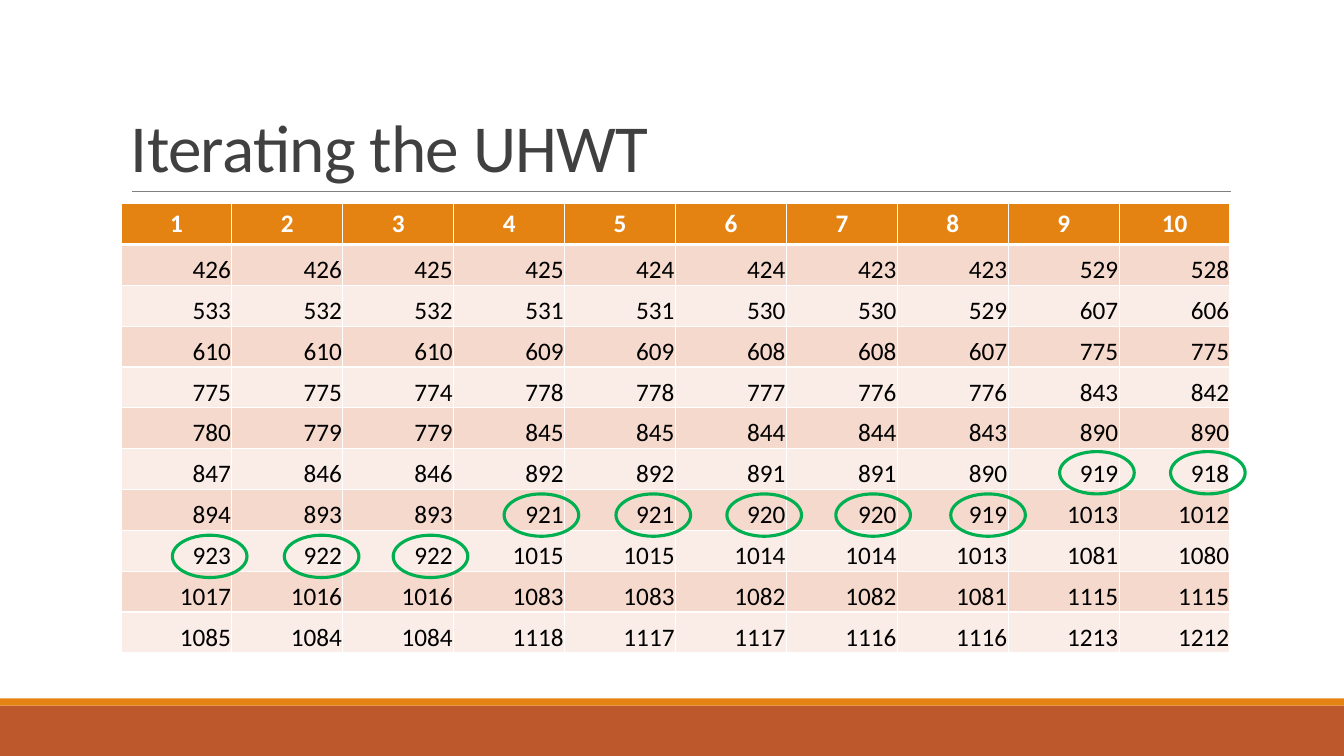
from lxml.etree import SubElement
from pptx import Presentation
from pptx.dml.color import RGBColor
from pptx.enum.shapes import MSO_CONNECTOR, MSO_SHAPE
from pptx.enum.text import MSO_ANCHOR, PP_ALIGN
from pptx.oxml.ns import qn
from pptx.util import Pt

PX = 9144  # EMU per px, 100 px to the inch
WIDTH, HEIGHT = 1333, 750

WHITE = RGBColor(0xFF, 0xFF, 0xFF)
BLACK = RGBColor(0x00, 0x00, 0x00)
DARK_GRAY = RGBColor(0x40, 0x40, 0x40)
RULE_GRAY = RGBColor(0x80, 0x80, 0x80)
ORANGE = RGBColor(0xE4, 0x83, 0x12)
RUST = RGBColor(0xBD, 0x58, 0x2C)
BAND_DARK = RGBColor(0xF5, 0xD9, 0xCC)
BAND_LIGHT = RGBColor(0xFA, 0xED, 0xE7)
GREEN = RGBColor(0x00, 0xB0, 0x50)


def write_text(frame, text, size=18, color=BLACK, bold=False,
               align=PP_ALIGN.LEFT, line_spacing=None, tracking=None):
    paragraph = frame.paragraphs[0]
    paragraph.alignment = align
    if line_spacing:
        paragraph.line_spacing = line_spacing
    run = paragraph.add_run()
    run.text = text
    run.font.name = "Calibri"
    run.font.size = Pt(size)
    run.font.bold = bold
    run.font.color.rgb = color
    if tracking:
        run._r.get_or_add_rPr().set("spc", str(tracking))


def add_border(cell, side, points):
    line = SubElement(cell._tc.get_or_add_tcPr(), qn(f"a:{side}"), w=str(Pt(points)))
    fill = SubElement(line, qn("a:solidFill"))
    SubElement(fill, qn("a:srgbClr"), val=str(WHITE))


prs = Presentation()
prs.slide_width, prs.slide_height = WIDTH * PX, HEIGHT * PX
slide = prs.slides.add_slide(prs.slide_layouts[6])
shapes = slide.shapes

# Footer bands
for top, height, color in [(700, 50, RUST), (693, 7, ORANGE)]:
    band = shapes.add_shape(MSO_SHAPE.RECTANGLE, 0, top * PX, WIDTH * PX, height * PX)
    band.shadow.inherit = False
    band.fill.solid()
    band.fill.fore_color.rgb = color
    band.line.fill.background()

# Title and the rule below it
title_rule = shapes.add_connector(MSO_CONNECTOR.STRAIGHT,
                                  131 * PX, 190 * PX, 1221 * PX, 190 * PX)
title_rule.line.color.rgb = RULE_GRAY
title_rule.line.width = Pt(0.5)
SubElement(title_rule.element.spPr, qn("a:effectLst"))

title = shapes.add_textbox(120 * PX, 31 * PX, 1100 * PX, 159 * PX).text_frame
title.word_wrap = True
title.vertical_anchor = MSO_ANCHOR.BOTTOM
write_text(title, "Iterating the UHWT", size=48, color=DARK_GRAY,
           line_spacing=0.85, tracking=-50)

# Table of iterations
iterations = [
    list(range(1, 11)),
    [426, 426, 425, 425, 424, 424, 423, 423, 529, 528],
    [533, 532, 532, 531, 531, 530, 530, 529, 607, 606],
    [610, 610, 610, 609, 609, 608, 608, 607, 775, 775],
    [775, 775, 774, 778, 778, 777, 776, 776, 843, 842],
    [780, 779, 779, 845, 845, 844, 844, 843, 890, 890],
    [847, 846, 846, 892, 892, 891, 891, 890, 919, 918],
    [894, 893, 893, 921, 921, 920, 920, 919, 1013, 1012],
    [923, 922, 922, 1015, 1015, 1014, 1014, 1013, 1081, 1080],
    [1017, 1016, 1016, 1083, 1083, 1082, 1082, 1081, 1115, 1115],
    [1085, 1084, 1084, 1118, 1117, 1117, 1116, 1116, 1213, 1212],
]
table = shapes.add_table(len(iterations), len(iterations[0]),
                         120 * PX, 202 * PX, 1100 * PX, 446 * PX).table
table.horz_banding = False
for row, values in enumerate(iterations):
    for column, value in enumerate(values):
        cell = table.cell(row, column)
        for side in ("lnL", "lnR", "lnT", "lnB"):
            under_header = (row, side) in [(0, "lnB"), (1, "lnT")]
            add_border(cell, side, 3 if under_header else 1)
        cell.fill.solid()
        if row == 0:
            cell.fill.fore_color.rgb = ORANGE
            write_text(cell.text_frame, str(value), color=WHITE, bold=True,
                       align=PP_ALIGN.CENTER)
        else:
            cell.fill.fore_color.rgb = BAND_DARK if row % 2 else BAND_LIGHT
            cell.vertical_anchor = MSO_ANCHOR.BOTTOM
            cell.margin_left = cell.margin_right = cell.margin_top = 1 * PX
            cell.margin_bottom = 0
            write_text(cell.text_frame, str(value), align=PP_ALIGN.RIGHT)

# Rings around the tracked value of each iteration, right to left
ring_lefts = [171, 282, 390, 500, 611, 721, 829, 943, 1051, 1161]
ring_tops = [531] * 3 + [490] * 5 + [448] * 2
for left, top in reversed(list(zip(ring_lefts, ring_tops))):
    ring = shapes.add_shape(MSO_SHAPE.OVAL, left * PX, top * PX, 74 * PX, 42 * PX)
    ring.shadow.inherit = False
    ring.fill.background()
    ring.line.color.rgb = GREEN
    ring.line.width = Pt(2.25)

prs.save("out.pptx")
